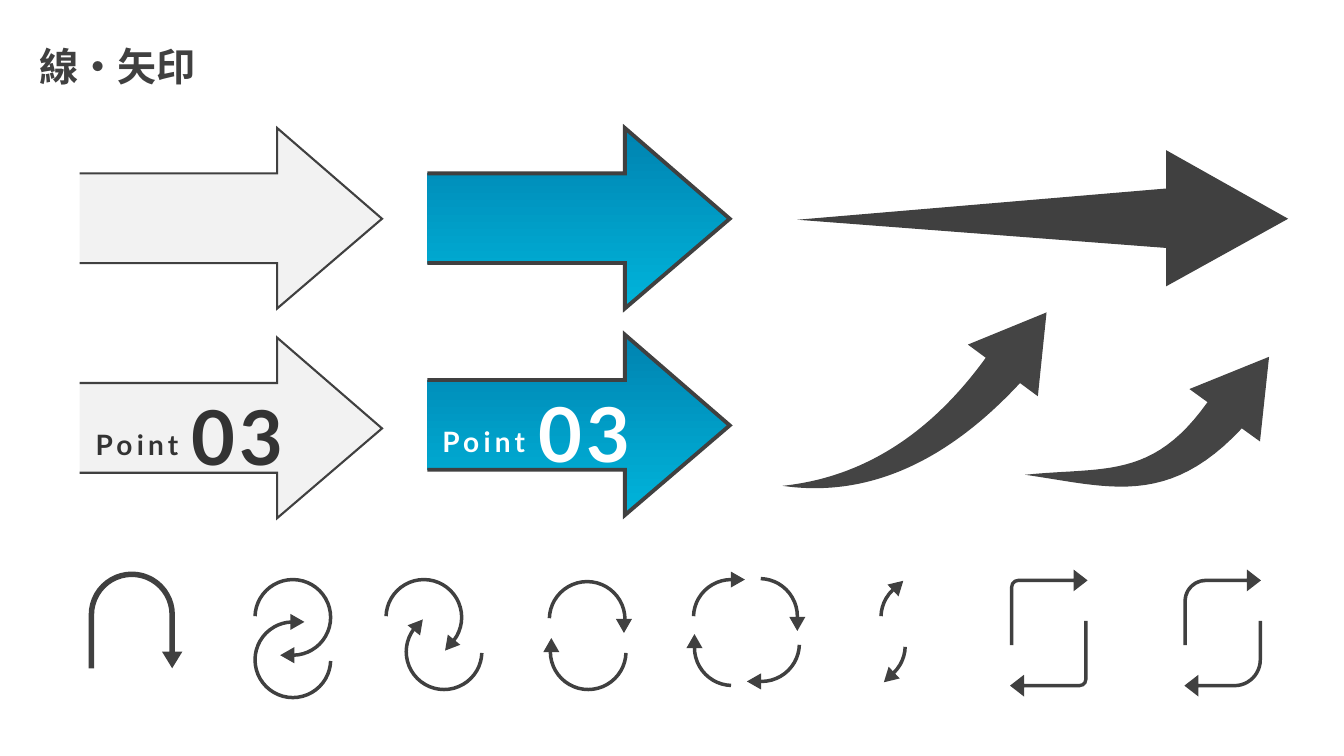
from dataclasses import dataclass

from lxml import etree
from pptx import Presentation
from pptx import util as u
from pptx.dml.color import RGBColor
from pptx.enum import shapes as kinds, text as modes
from pptx.oxml import ns

WIDE, HIGH = u.Inches(13.333), u.Inches(7.5)
COLS, ROWS = 80, 45
HUES = {
    "ink": "404040",
    "soft": "444444",
    "word": "333333",
    "pale": "F2F2F2",
    "white": "FFFFFF",
    "deep": "0083B0",
    "sky": "00B4DB",
}
LATIN, KANJI = "Lato", "Noto Sans CJK JP"
FORMS = kinds.MSO_SHAPE
ARC_SIDE = 4.5
TIP_WIDE, TIP_HIGH = 0.96, 0.84
ARC_START = 181.84
ARCS = {
    "half": (1.57, 180),
    "hook": (88.17, 270),
    "quarter": (271.61, 90),
    "short": (226.84, 46.7),
    "third": (38.21, 219.4),
}
BLOCK = [(0, 2.7), (11.76, 2.7), (11.76, 0), (18, 5.4),
         (11.76, 10.74), (11.76, 8.04), (0, 8.04)]
SPIKE = [(47.46, 13.08), (69.42, 11.22), (69.42, 8.94),
         (76.68, 13.02), (69.42, 17.04), (69.42, 14.76)]
Point = tuple[float, float]


@dataclass
class Block:
    col: float
    row: float
    fills: tuple[str, ...]
    line: float


@dataclass
class Label:
    col: float
    row: float
    hue: str


@dataclass
class Loop:
    arc: str
    turn: float
    col: float
    row: float
    tip_col: float
    tip_row: float


@dataclass
class Solid:
    form: kinds.MSO_SHAPE
    col: float
    row: float
    wide: float
    high: float
    rates: tuple[float, ...]
    turn: float = 0
    hue: str = "ink"
    flip: bool = False


BLOCKS = [
    Block(4.74, 7.62, ("pale",), 1.5),
    Block(4.74, 20.1, ("pale",), 1.5),
    Block(25.44, 7.62, ("deep", "sky"), 2.75),
    Block(25.44, 19.92, ("deep", "sky"), 2.75),
]
LABELS = [Label(5.1, 22.92, "word"), Label(25.74, 22.74, "white")]
LOOPS = [
    Loop("hook", 0, 15.18, 34.5, 16.62, 38.58),
    Loop("half", 0, 32.7, 34.62, 36.66, 36.84),
    Loop("quarter", 0, 41.28, 34.5, 43.44, 34.08),
    Loop("short", 0, 52.44, 34.5, 52.98, 34.44),
    Loop("third", 0, 22.98, 34.5, 26.28, 37.98),
    Loop("half", 180, 32.76, 36.54, 32.34, 37.98),
    Loop("third", 180, 24.18, 36.54, 24.42, 36.78),
    Loop("hook", 180, 15.18, 37.02, 17.22, 36.6),
    Loop("quarter", 90, 42.96, 34.44, 46.98, 36.72),
    Loop("quarter", 180, 43.08, 36.06, 44.4, 40.14),
    Loop("quarter", 270, 41.34, 36.3, 40.86, 37.74),
    Loop("short", 180, 49.38, 36.18, 52.44, 39.9),
]
BENT = (4.6, 14.4, 18.5)
SOLIDS = [
    Solid(FORMS.SWOOSH_ARROW, 46.92, 19.02, 16.8, 10.5, (24, 42.2), 300, "soft", True),
    Solid(FORMS.U_TURN_ARROW, 5.28, 34.02, 5.58, 5.76, (5.9, 10.9, 17.8, 57.2, 100)),
    Solid(FORMS.BENT_ARROW, 60.12, 33.9, 4.62, 4.5, (*BENT, 10.9)),
    Solid(FORMS.BENT_ARROW, 60.12, 36.96, 4.62, 4.5, (*BENT, 10.9), 180),
    Solid(FORMS.BENT_ARROW, 70.44, 33.9, 4.62, 4.5, (*BENT, 29.8)),
    Solid(FORMS.BENT_ARROW, 70.5, 36.96, 4.62, 4.5, (*BENT, 36.5), 180),
]


def across(cols: float) -> int:
    return round(WIDE * cols / COLS)


def down(rows: float) -> int:
    return round(HIGH * rows / ROWS)


def tint(hue: str) -> RGBColor:
    return RGBColor.from_string(HUES[hue])


def paint(shape, fills: tuple[str, ...] = (), line: float = 0) -> None:
    shape.shadow.inherit = False
    if not fills:
        shape.fill.background()
    elif len(fills) == 1:
        shape.fill.solid()
        shape.fill.fore_color.rgb = tint(fills[0])
    else:
        shape.fill.gradient()
        shape.fill.gradient_angle = 270
        for stop, hue in zip(shape.fill.gradient_stops, fills):
            stop.color.rgb = tint(hue)
    if not line:
        shape.line.fill.background()
        return
    shape.line.width = u.Pt(line)
    shape.line.color.rgb = tint("ink")
    edge = shape.element.spPr.find(ns.qn("a:ln"))
    etree.SubElement(edge, ns.qn("a:miter")).set("lim", "800000")


def place(home, form: kinds.MSO_SHAPE, col: float, row: float, wide: float,
          high: float, turn: float = 0):
    shape = home.add_shape(form, across(col), down(row), across(wide), down(high))
    shape.rotation = turn % 360
    return shape


def trace(home, points: list[Point], closed: bool = True):
    spots = [(across(col), down(row)) for col, row in points]
    pen = home.build_freeform(*spots[0], scale=1.0)
    pen.add_line_segments(spots[1:], close=closed)
    return pen.convert_to_shape()


def bend(knots: list[Point], steps: int = 24) -> list[Point]:
    curve = []
    for step in range(steps + 1):
        t = step / steps
        parts = ((1 - t) ** 3, 3 * t * (1 - t) ** 2, 3 * t * t * (1 - t), t ** 3)
        curve.append(tuple(sum(p * knot[axis] for p, knot in zip(parts, knots))
                           for axis in (0, 1)))
    return curve


def write(home, words: str, *, col: float, row: float, wide: float, high: float,
          size: float, hue: str, face: str = LATIN, space: int = 0) -> None:
    box = home.add_textbox(across(col), down(row), across(wide), down(high))
    frame = box.text_frame
    frame.word_wrap = False
    frame.auto_size = modes.MSO_AUTO_SIZE.SHAPE_TO_FIT_TEXT
    run = frame.paragraphs[0].add_run()
    run.text = words
    run.font.size, run.font.bold, run.font.name = u.Pt(size), True, face
    run.font.color.rgb = tint(hue)
    marks = run.font._element
    etree.SubElement(marks, ns.qn("a:ea")).set("typeface", face)
    if space:
        marks.set("spc", str(space * 100))


def draw_loop(home, loop: Loop) -> None:
    end, lean = ARCS[loop.arc]
    group = home.add_group_shape().shapes
    tip = place(group, FORMS.ISOSCELES_TRIANGLE, loop.tip_col, loop.tip_row,
                TIP_WIDE, TIP_HIGH, loop.turn + lean)
    paint(tip, ("ink",))
    arc = place(group, FORMS.ARC, loop.col, loop.row, ARC_SIDE, ARC_SIDE, loop.turn)
    for index, angle in enumerate((ARC_START, end)):
        arc.adjustments[index] = angle * 0.6
    paint(arc, line=2.5)


def draw_solid(home, item: Solid) -> None:
    shape = place(home, item.form, item.col, item.row, item.wide, item.high, item.turn)
    for index, rate in enumerate(item.rates):
        shape.adjustments[index] = rate / 100
    if item.flip:
        shape.element.spPr.find(ns.qn("a:xfrm")).set("flipV", "1")
    paint(shape, (item.hue,))


def main() -> None:
    deck = Presentation()
    deck.slide_width, deck.slide_height = WIDE, HIGH
    home = deck.slides.add_slide(deck.slide_layouts[6]).shapes
    for block in BLOCKS:
        points = [(block.col + x, block.row + y) for x, y in BLOCK]
        paint(trace(home, points, closed=False), block.fills, block.line)
    for label in LABELS:
        write(home, "Point", col=label.col, row=label.row + 2.22, wide=6.42,
              high=2.64, size=20, hue=label.hue, space=3)
        write(home, "03", col=label.col + 5.73, row=label.row, wide=7.26,
              high=6.06, size=54, hue=label.hue, space=3)
    paint(trace(home, SPIKE), ("ink",))
    for item in SOLIDS:
        draw_solid(home, item)
    for loop in LOOPS:
        draw_loop(home, loop)
    outer = bend([(61.02, 28.26), (66, 28.98), (69.48, 30.24), (73.92, 25.5)])
    head = [(75, 26.28), (75.54, 21.24), (70.8, 23.16)]
    inner = bend([(71.88, 23.94), (68.58, 28.56), (65.76, 27.78), (61.02, 28.26)])
    paint(trace(home, outer + head + inner), ("soft",))
    write(home, "線・矢印", col=1.74, row=2.22, wide=10.62, high=3.42,
          size=28, hue="ink", face=KANJI)
    deck.save("out.pptx")


if __name__ == "__main__":
    main()
